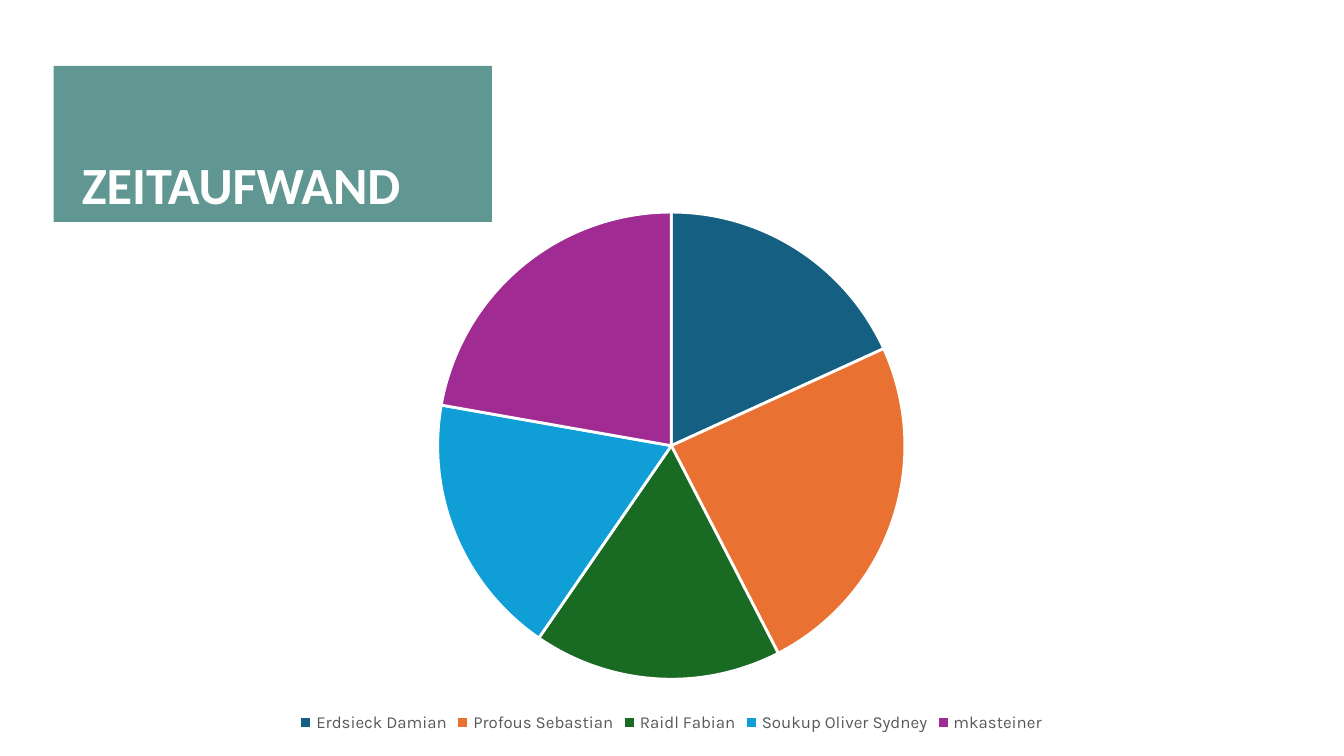
from pptx import Presentation
from pptx.chart.data import CategoryChartData
from pptx.dml.color import RGBColor
from pptx.enum.chart import XL_CHART_TYPE, XL_LEGEND_POSITION
from pptx.enum.shapes import MSO_SHAPE
from pptx.enum.text import MSO_ANCHOR
from pptx.util import Inches, Pt

TEAL = RGBColor(0x61, 0x97, 0x92)
WHITE = RGBColor(0xFF, 0xFF, 0xFF)
BLACK = RGBColor(0, 0, 0)
GRAY = RGBColor(0x59, 0x59, 0x59)

TITLE = "ZEITAUFWAND"
EFFORT = [
    ("Erdsieck Damian", 18, RGBColor(0x15, 0x60, 0x82)),
    ("Profous Sebastian", 24, RGBColor(0xE9, 0x71, 0x32)),
    ("Raidl Fabian", 17, RGBColor(0x19, 0x6B, 0x24)),
    ("Soukup Oliver Sydney", 18, RGBColor(0x0F, 0x9E, 0xD5)),
    ("mkasteiner", 22, RGBColor(0xA0, 0x2B, 0x93)),
]

prs = Presentation()
prs.slide_width = Inches(10)
prs.slide_height = prs.slide_width * 9 // 16
s = prs.slides.add_slide(prs.slide_layouts[6])

banner = s.shapes.add_shape(
    MSO_SHAPE.RECTANGLE, Inches(1.45), Inches(-0.56), Inches(1.16), Inches(3.26))
banner.rotation = 270
banner.shadow.inherit = False
banner.fill.solid()
banner.fill.fore_color.rgb = TEAL
banner.line.fill.background()

title = s.shapes.add_textbox(Inches(0.51), Inches(-0.55), Inches(3.88), Inches(2.25))
tf = title.text_frame
tf.word_wrap = True
tf.vertical_anchor = MSO_ANCHOR.BOTTOM
tf.margin_left = tf.margin_right = tf.margin_top = tf.margin_bottom = Inches(0.1)
p = tf.paragraphs[0]
p.text = TITLE
p.font.name, p.font.size, p.font.bold = "Calibri", Pt(28), True
p.font.color.rgb = WHITE

names, hours, colors = zip(*EFFORT)
data = CategoryChartData()
data.categories = names
data.add_series("Series 1", hours)
chart = s.shapes.add_chart(
    XL_CHART_TYPE.PIE, Inches(1.37), Inches(1.44), Inches(7.25), Inches(4.05), data).chart
chart.has_title = False
chart.font.name, chart.font.size = "Karla", Pt(10)
chart.font.color.rgb = BLACK

chart.has_legend = True
legend = chart.legend
legend.position = XL_LEGEND_POSITION.BOTTOM
legend.include_in_layout = False
legend.font.name, legend.font.size = "Karla", Pt(9)
legend.font.color.rgb = GRAY

plot = chart.plots[0]
plot.vary_by_categories = True
for i, color in enumerate(colors):
    fmt = plot.series[0].points[i].format
    fmt.fill.solid()
    fmt.fill.fore_color.rgb = color
    fmt.line.color.rgb = WHITE
    fmt.line.width = Pt(1.5)

prs.save("out.pptx")
